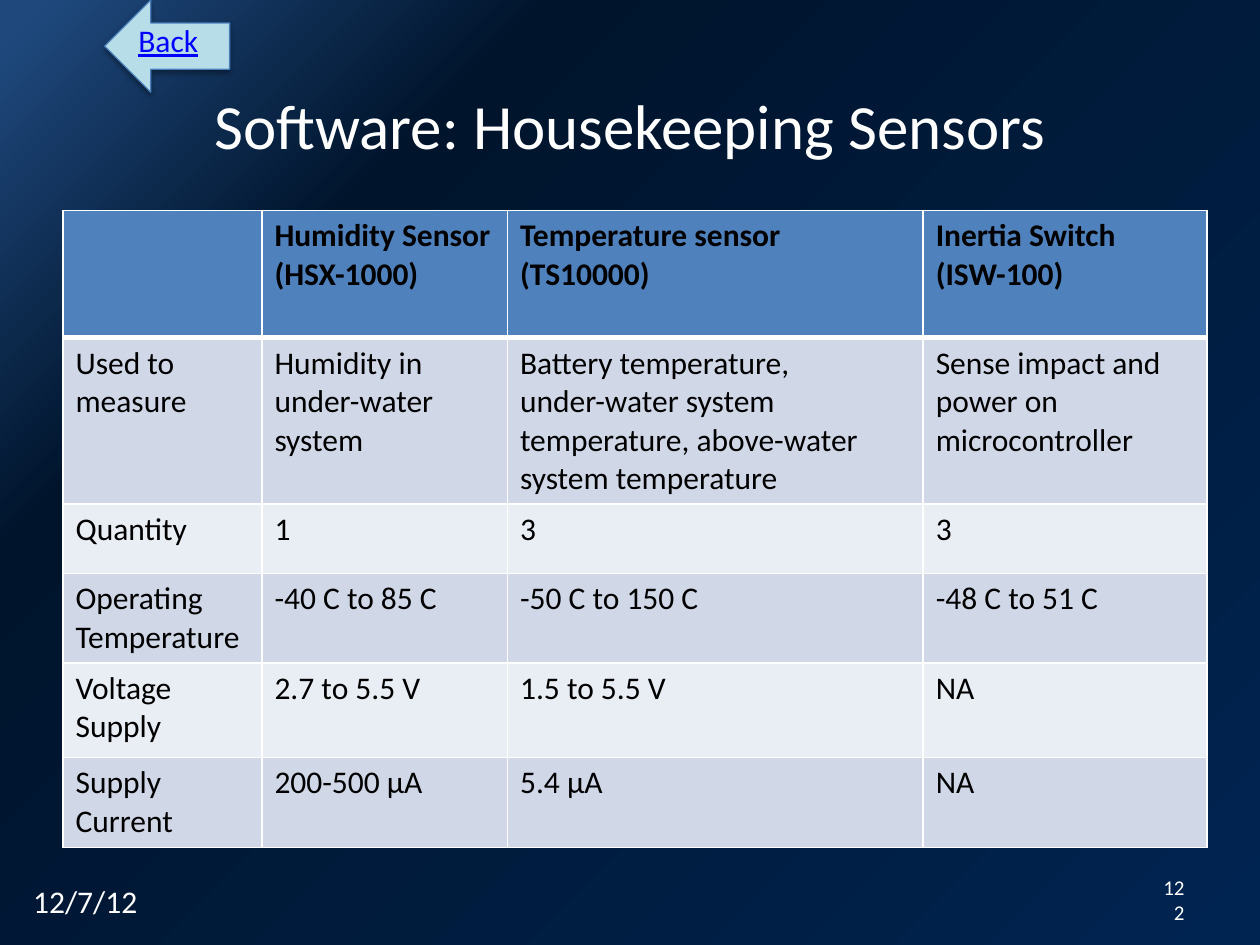
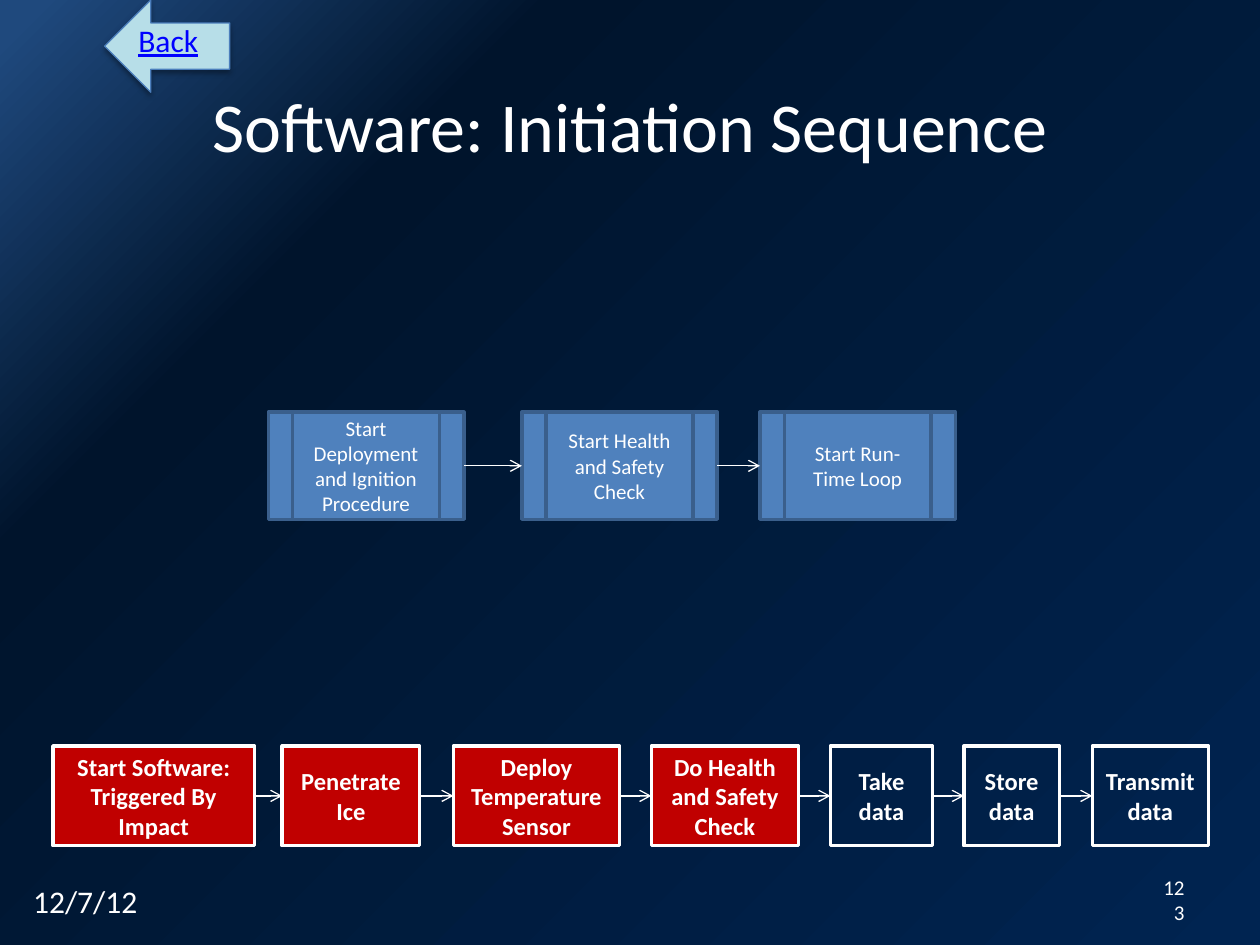
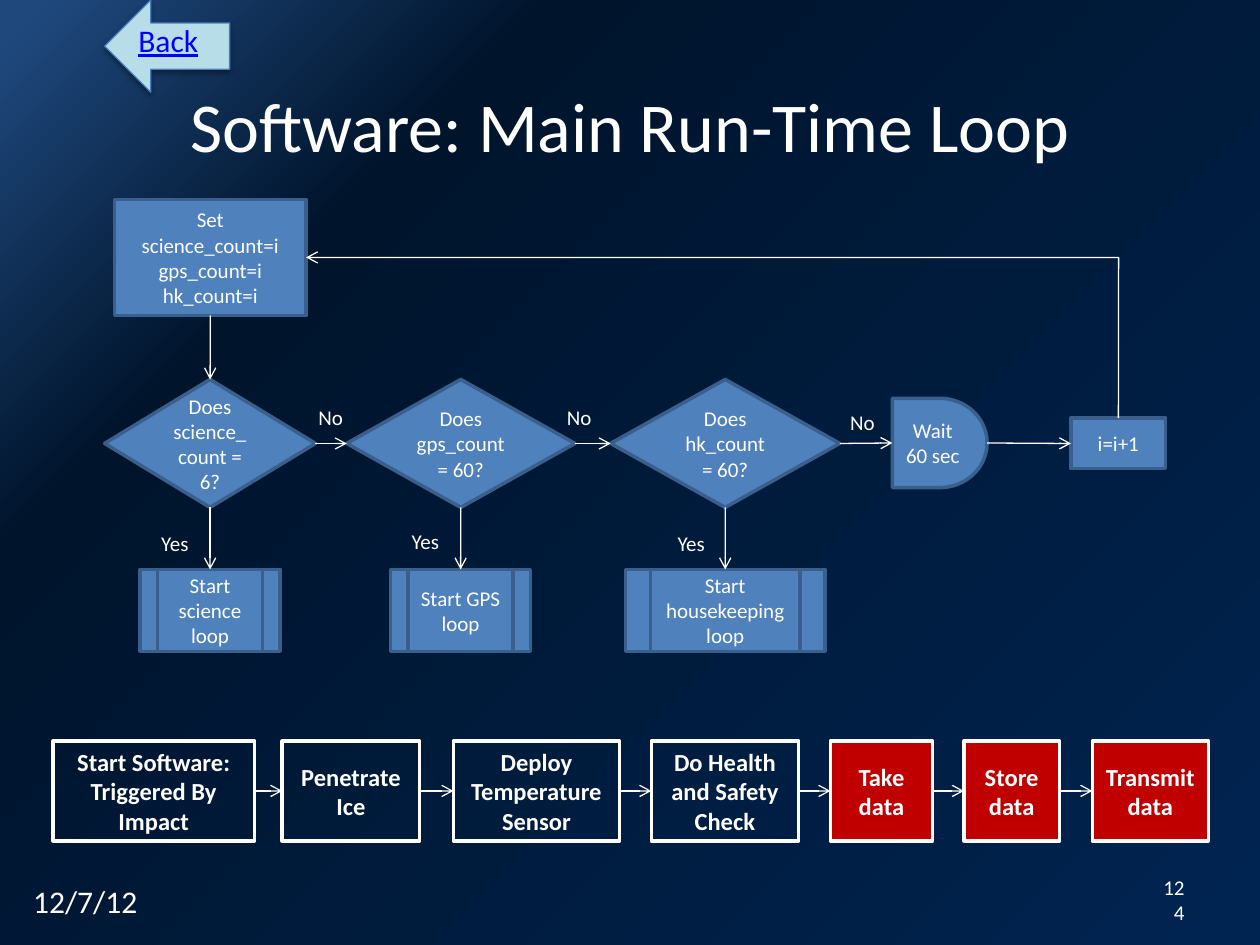
import pptx
import pptx.dml.color
import pptx.enum.shapes
import pptx.enum.text
import pptx.oxml
import pptx.oxml.ns
import pptx.util
from lxml import etree

Cm = pptx.util.Cm
Pt = pptx.util.Pt
RGBColor = pptx.dml.color.RGBColor
KIND = pptx.enum.shapes.MSO_SHAPE
ALIGN = pptx.enum.text.PP_ALIGN
ANCHOR = pptx.enum.text.MSO_ANCHOR
qn = pptx.oxml.ns.qn

FONT = "Calibri"
WHITE = RGBColor(0xFF, 0xFF, 0xFF)
BLACK = RGBColor(0x00, 0x00, 0x00)
LINK_BLUE = RGBColor(0x00, 0x00, 0xFF)
BLUE = RGBColor(0x4F, 0x81, 0xBD)
DARK_BLUE = RGBColor(0x3A, 0x5F, 0x8C)
RED = RGBColor(0xC0, 0x00, 0x00)
PALE_CYAN = RGBColor(0xB7, 0xDE, 0xE8)
ARROW_EDGE = RGBColor(0x4B, 0x7E, 0xBC)
ODD_ROW = RGBColor(0xD0, 0xD8, 0xE8)
EVEN_ROW = RGBColor(0xE9, 0xED, 0xF4)
BACKGROUND_STOPS = [(2, RGBColor(0x1F, 0x49, 0x7D)),
                    (25, RGBColor(0x00, 0x14, 0x2C)),
                    (100, RGBColor(0x00, 0x24, 0x51))]
TOP, LEFT, BOTTOM, RIGHT = range(4)  # connection sites


def add_box(page, place, text, size=12, kind=None, fill=None, edge=WHITE, edge_width=2,
            color=WHITE, align=ALIGN.CENTER, anchor=ANCHOR.MIDDLE, bold=False):
    """Add a preset shape, or a plain text box when no kind is given."""
    lengths = [Cm(length) for length in place]
    if kind is None:
        box = page.shapes.add_textbox(*lengths)
    else:
        box = page.shapes.add_shape(kind, *lengths)
        box.shadow.inherit = False
        box.line.color.rgb = edge
        box.line.width = Pt(edge_width)
        if fill is None:
            box.fill.background()
        else:
            box.fill.solid()
            box.fill.fore_color.rgb = fill
    frame = box.text_frame
    frame.word_wrap = True
    frame.vertical_anchor = anchor
    frame.text = text
    for paragraph in frame.paragraphs:
        paragraph.alignment = align
        paragraph.font.name = FONT
        paragraph.font.size = Pt(size)
        paragraph.font.bold = bold
        paragraph.font.color.rgb = color
    return box


def add_line(page, points=(0, 0, 0, 0), arrow=True):
    line = page.shapes.add_connector(pptx.enum.shapes.MSO_CONNECTOR.STRAIGHT, *points)
    line.line.color.rgb = WHITE
    line.line.width = Pt(0.75)
    if arrow:
        etree.SubElement(line.line._get_or_add_ln(), qn("a:tailEnd"), type="arrow")
    etree.SubElement(line._element.spPr, qn("a:effectLst"))
    return line


deck = pptx.Presentation()
deck.slide_width = Cm(25.4)
deck.slide_height = Cm(19.05)

# Shared background
background = deck.slide_master.background.fill
background.gradient()
gradient = deck.slide_master._element.find(".//" + qn("p:bg")).find(".//" + qn("a:gradFill"))
for child in list(gradient):
    gradient.remove(child)
stops = etree.SubElement(gradient, qn("a:gsLst"))
for position, color in BACKGROUND_STOPS:
    stop = etree.SubElement(stops, qn("a:gs"), pos=str(position * 1000))
    etree.SubElement(stop, qn("a:srgbClr"), val=str(color))
etree.SubElement(gradient, qn("a:lin"), ang=str(45 * 60000), scaled="0")

# Title, footer and back arrow of every slide
pages = []
for number, title, size in [(122, "Software: Housekeeping Sensors", 36),
                            (123, "Software: Initiation Sequence", 40),
                            (124, "Software: Main Run-Time Loop", 40)]:
    page = deck.slides.add_slide(deck.slide_layouts[6])
    pages.append(page)
    add_box(page, (2.22, 1.4, 20.96, 2.22), title, size)
    add_box(page, (0.42, 17.65, 5.93, 1.03), "12/7/12", 18, align=ALIGN.LEFT, anchor=ANCHOR.TOP)
    add_box(page, (23.07, 17.65, 1.06, 0.97), str(number), align=ALIGN.RIGHT)
    back_arrow = add_box(page, (2.11, 0, 2.52, 1.86), "", kind=KIND.LEFT_ARROW,
                         fill=PALE_CYAN, edge=ARROW_EDGE, edge_width=0.75)
    shadow = etree.SubElement(back_arrow._element.spPr.find(qn("a:effectLst")), qn("a:outerShdw"),
                              blurRad=str(Pt(3.1)), dist=str(Pt(1.8)), dir=str(90 * 60000),
                              rotWithShape="0")
    shade = etree.SubElement(shadow, qn("a:srgbClr"), val=str(BLACK))
    etree.SubElement(shade, qn("a:alpha"), val="35000")
    back = add_box(page, (2.54, 0.3, 1.73, 1.02), "Back", 18, color=LINK_BLUE,
                   align=ALIGN.LEFT, anchor=ANCHOR.TOP)
    back.text_frame.word_wrap = False
    back.text_frame.paragraphs[0].font.underline = True
sensor_page, initiation_page, loop_page = pages

# Sensor table
SENSORS = [
    ["", "Humidity Sensor (HSX-1000)", "Temperature sensor (TS10000)", "Inertia Switch\n(ISW-100)"],
    ["Used to measure", "Humidity in under-water system",
     "Battery temperature,\nunder-water system temperature, above-water system temperature",
     "Sense impact and power on microcontroller"],
    ["Quantity", "1", "3", "3"],
    ["Operating Temperature", "-40 C to 85 C", "-50 C to 150 C", "-48 C to 51 C"],
    ["Voltage Supply", "2.7 to 5.5 V", "1.5 to 5.5 V", "NA"],
    ["Supply Current", "200-500 µA", "5.4 µA", "NA"],
]
COLUMN_WIDTHS = [4.01, 4.95, 8.38, 5.72]
ROW_HEIGHTS = [2.57, 3.35, 1.4, 1.81, 1.9, 1.82]
table = sensor_page.shapes.add_table(
    len(SENSORS), len(COLUMN_WIDTHS), Cm(1.27), Cm(4.24),
    Cm(sum(COLUMN_WIDTHS)), Cm(sum(ROW_HEIGHTS))).table
for column, width in zip(table.columns, COLUMN_WIDTHS):
    column.width = Cm(width)
for index, (row, height, texts) in enumerate(zip(table.rows, ROW_HEIGHTS, SENSORS)):
    row.height = Cm(height)
    for cell, text in zip(row.cells, texts):
        cell.fill.solid()
        cell.fill.fore_color.rgb = BLUE if index == 0 else ODD_ROW if index % 2 else EVEN_ROW
        cell.text = text
        for paragraph in cell.text_frame.paragraphs:
            paragraph.font.name = FONT
            paragraph.font.size = Pt(18)
            paragraph.font.bold = index == 0
            paragraph.font.color.rgb = BLACK

# Thick rule under the table header
for cell in table.rows[0].cells:
    rule = etree.Element(qn("a:lnB"), w=str(Pt(3)))
    rule_fill = etree.SubElement(rule, qn("a:solidFill"))
    etree.SubElement(rule_fill, qn("a:srgbClr"), val=str(WHITE))
    cell._tc.get_or_add_tcPr().insert(0, rule)

# Mission steps along the bottom, with the current ones in red
MISSION_STEPS = [
    (1.07, 4.06, "Start Software: Triggered By Impact"),
    (5.69, 2.77, "Penetrate Ice"),
    (9.14, 3.35, "Deploy Temperature Sensor"),
    (13.13, 2.97, "Do Health and Safety Check"),
    (16.74, 2.06, "Take data"),
    (19.43, 1.93, "Store data"),
    (22.02, 2.34, "Transmit data"),
]
for page, top, current in [(initiation_page, 15.04, range(4)), (loop_page, 14.94, range(4, 7))]:
    steps = [add_box(page, (left, top, width, 2.01), text, 14, KIND.FLOWCHART_PROCESS,
                     fill=RED if index in current else None, bold=True)
             for index, (left, width, text) in enumerate(MISSION_STEPS)]
    for step, following in zip(steps, steps[1:]):
        line = add_line(page)
        line.begin_connect(step, RIGHT)
        line.end_connect(following, LEFT)

# Initiation sequence
procedures = [add_box(initiation_page, (left, 8.31, 3.94, 2.16), text,
                      kind=KIND.FLOWCHART_PREDEFINED_PROCESS, fill=BLUE, edge=DARK_BLUE)
              for left, text in [(5.41, "Start Deployment and Ignition Procedure"),
                                 (10.52, "Start Health and Safety Check"),
                                 (15.32, "Start Run-Time Loop")]]
for procedure, following in zip(procedures, procedures[1:]):
    line = add_line(initiation_page)
    line.begin_connect(procedure, RIGHT)
    line.end_connect(following, LEFT)

# Run-time loop
FLOW = {
    "set": (KIND.FLOWCHART_PROCESS, (2.31, 4.02, 3.86, 2.34),
            "Set\nscience_count=i\ngps_count=i\nhk_count=i"),
    "science?": (KIND.FLOWCHART_DECISION, (2.11, 7.65, 4.25, 2.58), "Does science_count = 6?"),
    "gps?": (KIND.FLOWCHART_DECISION, (6.99, 7.65, 4.6, 2.58), "Does gps_count = 60?"),
    "hk?": (KIND.FLOWCHART_DECISION, (12.31, 7.65, 4.62, 2.58), "Does hk_count = 60?"),
    "science": (KIND.FLOWCHART_PREDEFINED_PROCESS, (2.82, 11.48, 2.83, 1.65),
                "Start science loop"),
    "gps": (KIND.FLOWCHART_PREDEFINED_PROCESS, (7.87, 11.48, 2.83, 1.65), "Start GPS loop"),
    "hk": (KIND.FLOWCHART_PREDEFINED_PROCESS, (12.61, 11.48, 4.02, 1.65),
           "Start housekeeping loop"),
    "wait": (KIND.FLOWCHART_DELAY, (17.99, 8.03, 1.91, 1.8), "Wait 60 sec"),
    "next": (KIND.FLOWCHART_PROCESS, (21.59, 8.43, 1.91, 1.02), "i=i+1"),
}
flow = {name: add_box(loop_page, place, text, kind=kind, fill=BLUE, edge=DARK_BLUE)
        for name, (kind, place, text) in FLOW.items()}
across = ["science?", "gps?", "hk?", "wait", "next"]
down = [("set", "science?"), ("science?", "science"), ("gps?", "gps"), ("hk?", "hk")]
links = [(start, RIGHT, end, LEFT) for start, end in zip(across, across[1:])]
links += [(start, BOTTOM, end, TOP) for start, end in down]
for start, start_site, end, end_site in links:
    line = add_line(loop_page)
    line.begin_connect(flow[start], start_site)
    line.end_connect(flow[end], end_site)

# Return path from the increment to the first box
corner = Cm(22.55), Cm(5.19)
add_line(loop_page, corner * 2, arrow=False).begin_connect(flow["next"], TOP)
add_line(loop_page, corner * 2).end_connect(flow["set"], RIGHT)

for left, top, answer in [(6.17, 8.03, "No"), (11.18, 8.03, "No"), (16.89, 8.13, "No"),
                          (3.0, 10.57, "Yes"), (8.05, 10.54, "Yes"), (13.41, 10.57, "Yes")]:
    add_box(loop_page, (left, top, 1.5, 0.76), answer, align=ALIGN.LEFT, anchor=ANCHOR.TOP)

deck.save("out.pptx")
